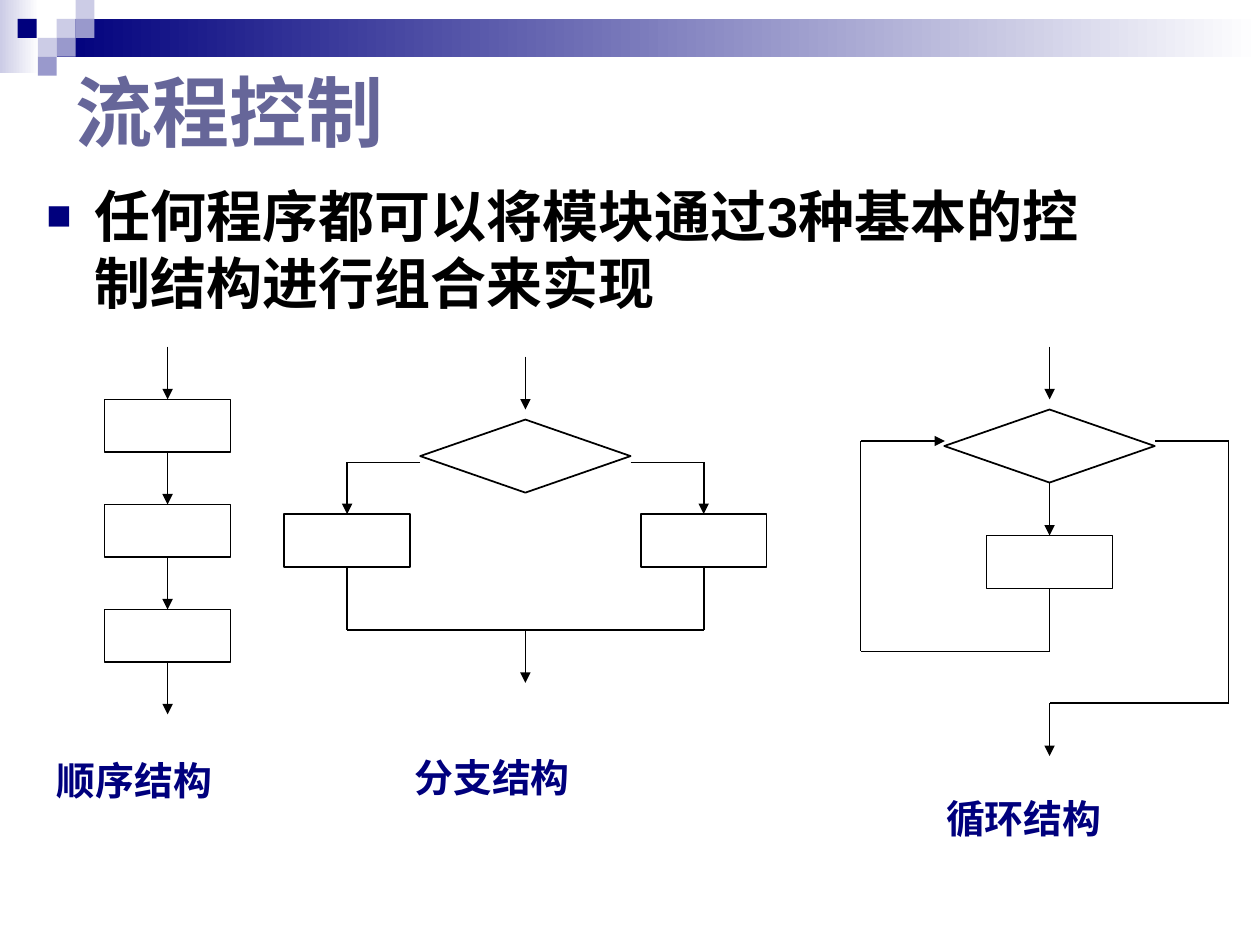
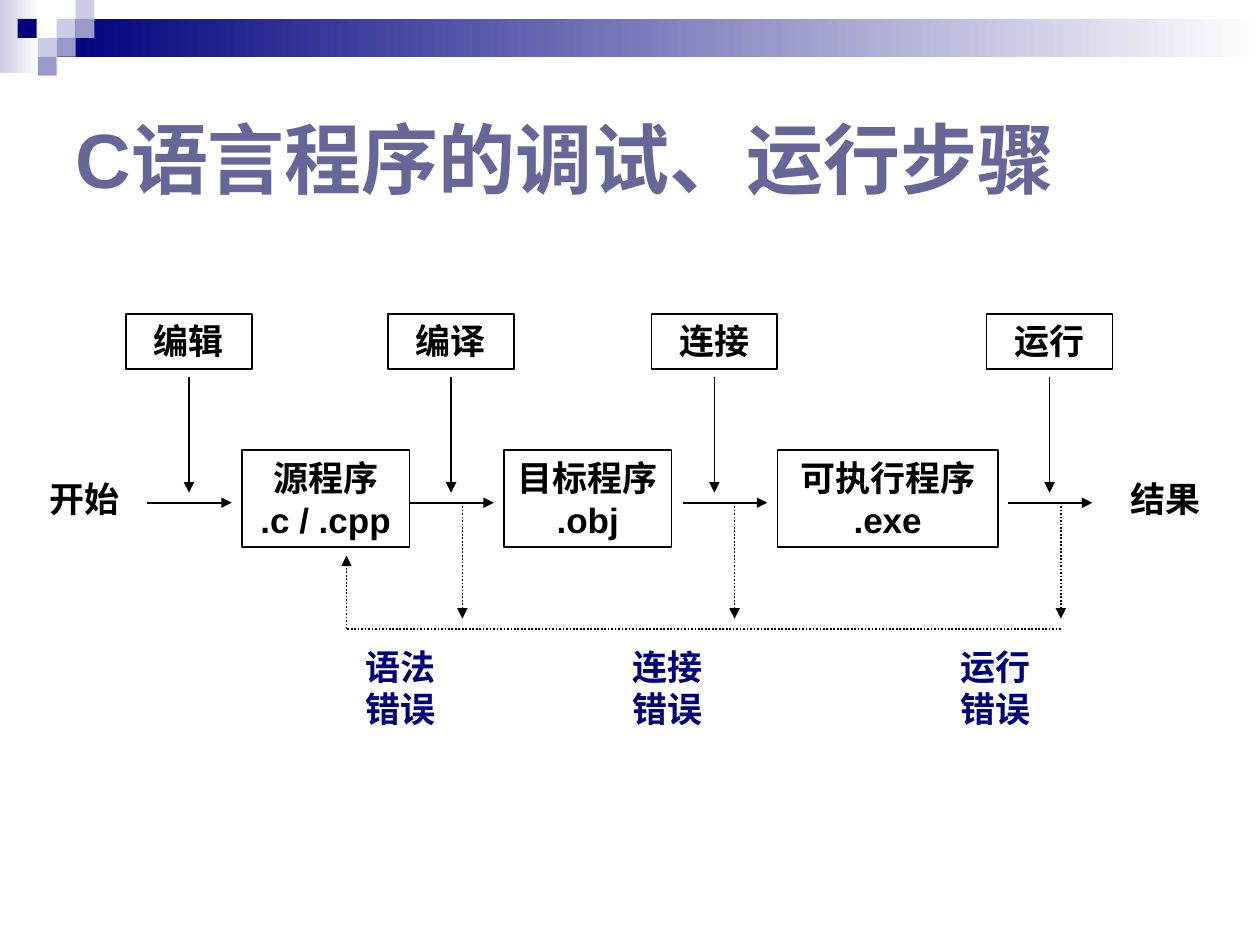
from itertools import pairwise

from lxml import etree
from pptx import Presentation
from pptx.dml.color import RGBColor
from pptx.enum.dml import MSO_LINE
from pptx.enum.shapes import MSO_CONNECTOR, MSO_SHAPE
from pptx.enum.text import MSO_ANCHOR, PP_ALIGN
from pptx.oxml.ns import qn
from pptx.util import Inches, Pt

RECT = MSO_SHAPE.RECTANGLE
DIAMOND = MSO_SHAPE.DIAMOND
LINE = MSO_CONNECTOR.STRAIGHT
DOTS = MSO_LINE.ROUND_DOT
LEFT, CENTER = PP_ALIGN.LEFT, PP_ALIGN.CENTER
TOP, MIDDLE = MSO_ANCHOR.TOP, MSO_ANCHOR.MIDDLE

BLACK = RGBColor(0x00, 0x00, 0x00)
WHITE = RGBColor(0xFF, 0xFF, 0xFF)
NAVY = RGBColor(0x00, 0x00, 0x7D)
SLATE = RGBColor(0x66, 0x66, 0x99)
LILAC = RGBColor(0x99, 0x99, 0xCC)
PALE = RGBColor(0xCC, 0xCC, 0xE6)

LATIN = "Arial"
HAN = "Noto Sans CJK SC"
TILE = 0.15
TILES = [(0.45, 0.15, PALE), (0.6, 0, PALE), (0.6, 0.15, LILAC),
         (0.3, 0.3, PALE), (0.14, 0.15, NAVY), (0.45, 0.3, LILAC),
         (0.3, 0.45, LILAC)]
BOX_W, BOX_H = 1, 0.42
DIA_W, DIA_H = 1.67, 0.58


def add_node(parent, tag, **attrs):
    node = etree.SubElement(parent, qn(tag))
    for key, value in attrs.items():
        node.set(key, value)
    return node


def add_bullet(para):
    props = para._p.get_or_add_pPr()
    props.set("marL", str(Inches(0.38)))
    props.set("indent", str(Inches(-0.38)))
    add_node(add_node(props, "a:buClr"), "a:srgbClr", val=str(NAVY))
    add_node(props, "a:buSzPct", val="75000")
    add_node(props, "a:buFont", typeface=LATIN)
    add_node(props, "a:buChar", char="■")


def write(shape, text, size=20, color=BLACK, font=LATIN, align=CENTER,
          anchor=TOP, spacing=None, bullet=False):
    frame = shape.text_frame
    frame.word_wrap = True
    frame.vertical_anchor = anchor
    frame.text = text
    for para in frame.paragraphs:
        if bullet:
            add_bullet(para)
        para.alignment = align
        para.line_spacing = spacing
        for run in para.runs:
            run.font.name = font
            run.font.size = Pt(size)
            run.font.bold = True
            run.font.color.rgb = color
            add_node(run._r.get_or_add_rPr(), "a:ea", typeface=font)


def add_text(slide, text, x, y, w, h, **style):
    area = slide.shapes.add_textbox(Inches(x), Inches(y), Inches(w), Inches(h))
    write(area, text, **style)


def add_shape(slide, x, y, w, h, kind=RECT):
    shape = slide.shapes.add_shape(
        kind, Inches(x), Inches(y), Inches(w), Inches(h))
    shape.shadow.inherit = False
    return shape


def add_box(slide, x, y, w=BOX_W, h=BOX_H, text="", kind=RECT):
    box = add_shape(slide, x, y, w, h, kind)
    box.fill.background()
    box.line.color.rgb = BLACK
    box.line.width = Pt(1)
    if text:
        write(box, text)


def add_route(slide, *points, arrow=True, dash=None):
    for (x1, y1), (x2, y2) in pairwise(points):
        line = slide.shapes.add_connector(
            LINE, Inches(x1), Inches(y1), Inches(x2), Inches(y2))
        line.line.color.rgb = BLACK
        line.line.width = Pt(1)
        if dash:
            line.line.dash_style = dash
        if arrow and (x2, y2) == points[-1]:
            add_node(line.line._get_or_add_ln(), "a:tailEnd", type="triangle")
        add_node(line._element.spPr, "a:effectLst")


def add_fade(slide, x, y, w, h, color):
    bar = add_shape(slide, x, y, w, h)
    bar.fill.gradient()
    bar.fill.gradient_angle = 0
    for stop, tint in zip(bar.fill.gradient_stops, (color, WHITE)):
        stop.color.rgb = tint
    bar.line.fill.background()


def add_page(deck, title, top):
    slide = deck.slides.add_slide(deck.slide_layouts[6])
    add_fade(slide, 0, 0, 0.31, 0.58, PALE)
    add_fade(slide, 0.45, 0.15, 9.55, 0.3, NAVY)
    for x, y, color in TILES:
        tile = add_shape(slide, x, y, TILE, TILE)
        tile.fill.solid()
        tile.fill.fore_color.rgb = color
        tile.line.fill.background()
    add_text(slide, title, 0.5, top, 9, 1.5, size=44, color=SLATE,
             align=LEFT, anchor=MIDDLE)
    return slide


def add_label(slide, text, x, y):
    add_text(slide, text, x, y, 1.92, 0.42, size=22.2, color=NAVY,
             font=HAN, align=LEFT, spacing=0.8)


def draw_chain(slide, mid=1.33):
    for step in range(4):
        y = 2.75 + step * 2.5 / 3
        add_route(slide, (mid, y), (mid, y + BOX_H))
        if step < 3:
            add_box(slide, mid - BOX_W / 2, y + BOX_H)
    add_label(slide, "顺序结构", 0.35, 6.03)


def draw_branch(slide, mid=4.17):
    add_route(slide, (mid, 2.83), (mid, 3.25))
    add_box(slide, mid - DIA_W / 2, 3.33, DIA_W, DIA_H, kind=DIAMOND)
    for side in (-1, 1):
        tip = mid + side * DIA_W / 2
        arm = mid + side * 1.415
        add_route(slide, (tip, 3.67), (arm, 3.67), (arm, 4.08))
        add_box(slide, arm - BOX_W / 2, 4.08)
        add_route(slide, (arm, 4.5), (arm, 5), (mid, 5), arrow=False)
    add_route(slide, (mid, 5), (mid, 5.42))
    add_label(slide, "分支结构", 3.19, 6)


def draw_loop(slide, mid=8.33):
    add_route(slide, (mid, 2.75), (mid, 3.17))
    add_box(slide, mid - DIA_W / 2, 3.25, DIA_W, DIA_H, kind=DIAMOND)
    add_route(slide, (mid, 3.83), (mid, 4.25))
    add_box(slide, mid - BOX_W / 2, 4.25)
    add_route(slide, (mid, 4.67), (mid, 5.17), (6.83, 5.17), (6.83, 3.5),
              (7.5, 3.5))
    add_route(slide, (9.17, 3.5), (9.75, 3.5), (9.75, 5.58), (mid, 5.58),
              (mid, 6))
    add_label(slide, "循环结构", 7.41, 6.33)


def build_control(deck):
    slide = add_page(deck, "流程控制", 0.13)
    add_text(slide, "任何程序都可以将模块通过3种基本的控制结构进行组合来实现",
             0.27, 1.39, 8.83, 1.27, size=32, align=LEFT, bullet=True)
    draw_chain(slide)
    draw_branch(slide)
    draw_loop(slide)


def build_steps(deck):
    slide = add_page(deck, "C语言程序的调试、运行步骤", 0.5)
    axis = 3.99
    for text, x in (("开始", 0.17), ("结果", 8.75)):
        add_text(slide, text, x, 3.74, 1, 0.44)
    for text, mid in (("编辑", 1.5), ("编译", 3.58), ("连接", 5.67),
                      ("运行", 8.33)):
        add_box(slide, mid - 0.5, 2.49, 1, 0.44, text)
        add_route(slide, (mid, 2.99), (mid, 3.91))
    for text, x, w in (("源程序\n.c / .cpp", 1.92, 1.33),
                       ("目标程序\n.obj", 4, 1.33),
                       ("可执行程序\n.exe", 6.17, 1.75)):
        add_box(slide, x, 3.57, w, 0.77, text)
    for x in (1.17, 3.25, 5.42, 8):
        add_route(slide, (x, axis), (x + 0.67, axis))
    for text, x, drop in (("语法\n错误", 2.72, 3.67),
                          ("连接\n错误", 4.84, 5.83),
                          ("运行\n错误", 7.44, 8.42)):
        add_route(slide, (drop, axis), (drop, 4.91), dash=DOTS)
        add_text(slide, text, x, 5.07, 0.92, 0.77, color=NAVY)
    add_route(slide, (8.42, 4.99), (2.75, 4.99), (2.75, 4.41), dash=DOTS)


def main():
    deck = Presentation()
    deck.slide_width = Inches(10)
    deck.slide_height = Inches(7.5)
    build_control(deck)
    build_steps(deck)
    deck.save("out.pptx")


if __name__ == "__main__":
    main()
